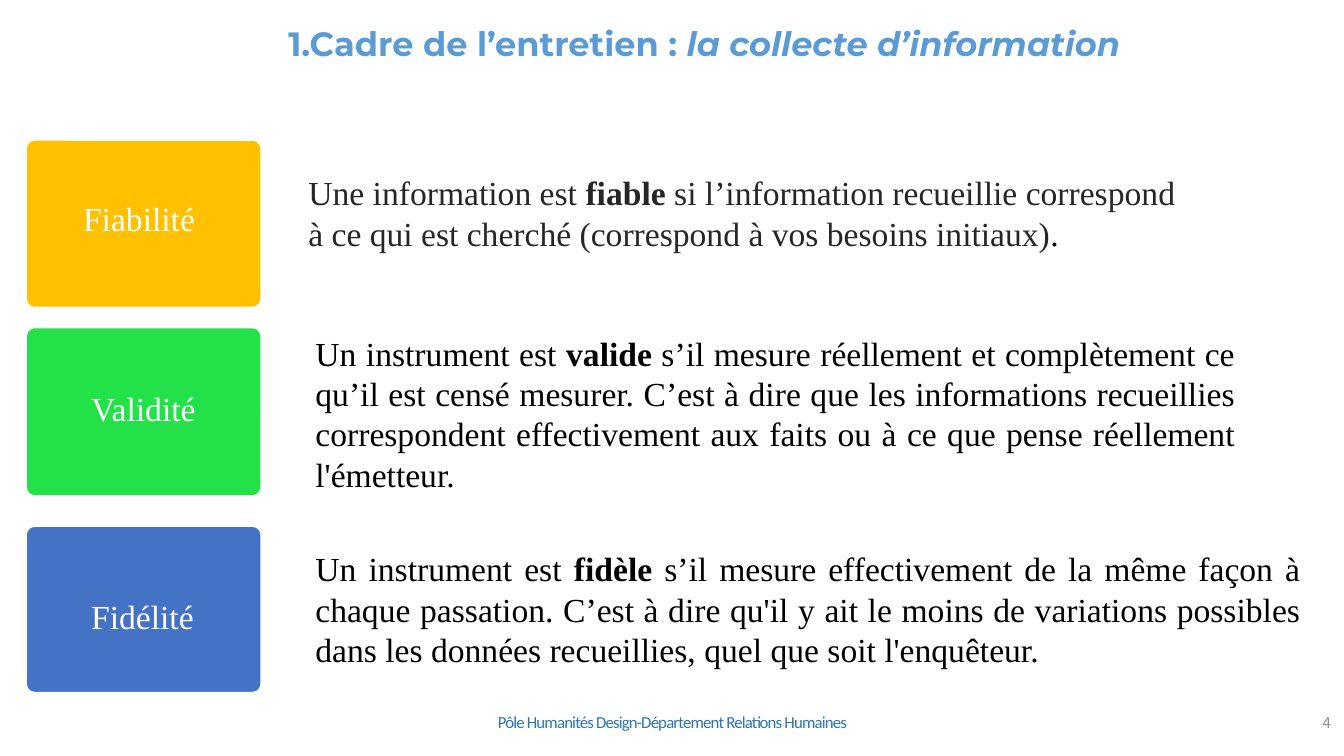
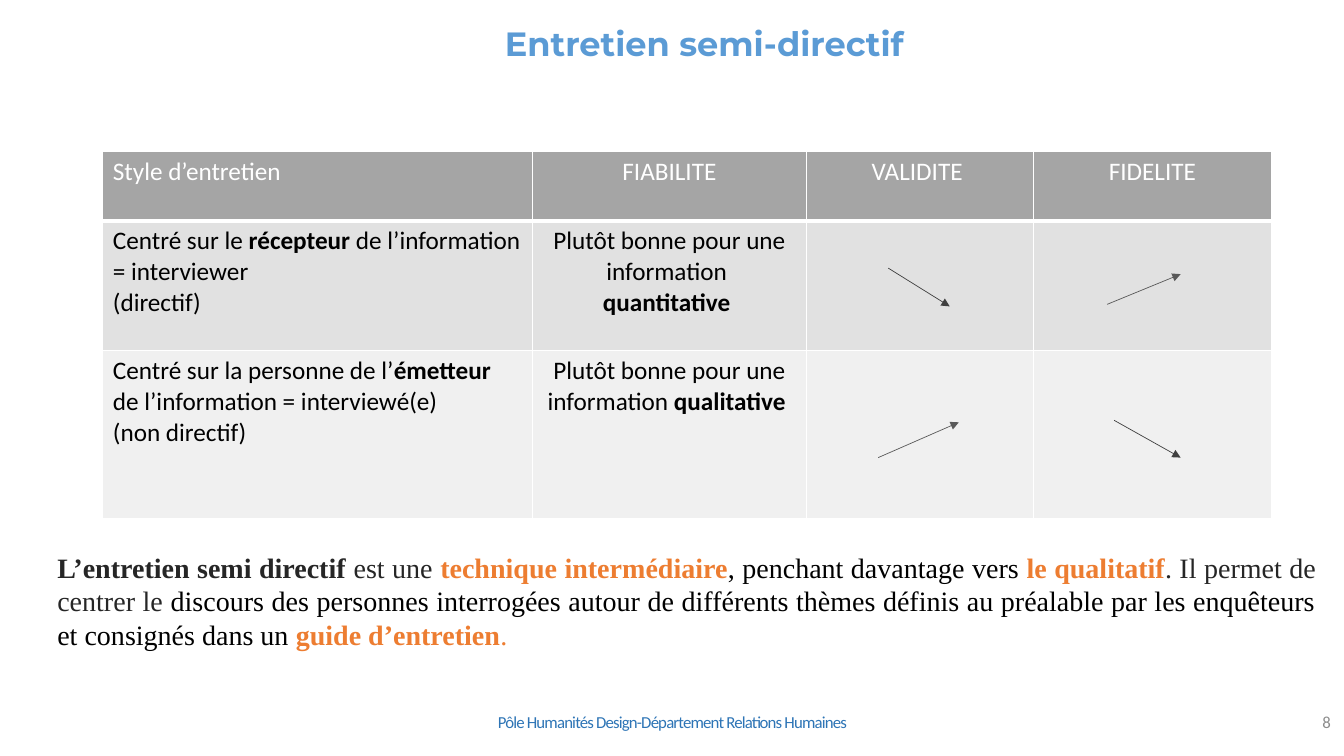
from lxml.etree import SubElement as Sub
from pptx import Presentation
from pptx.dml.color import RGBColor
from pptx.enum.shapes import MSO_CONNECTOR as Link, MSO_SHAPE as Form
from pptx.enum.text import MSO_ANCHOR as Anchor, MSO_AUTO_SIZE as Fit, PP_ALIGN as Align
from pptx.oxml.ns import qn
from pptx.util import Inches, Pt

# Shared look
WHITE, BLACK, INK, ORANGE = "FFFFFF", "000000", "262626", "ED7D31"
SERIF, SANS, HEAD = "Times New Roman", "Calibri", "Montserrat"
LEFT, MID, RIGHT, JUST = Align.LEFT, Align.CENTER, Align.RIGHT, Align.JUSTIFY
BOLD = {"bold": True}
KEY = {"bold": True, "color": ORANGE}
DARK = {"color": INK}
TITLE = {"name": HEAD, "size": 24, "color": "5B9BD5", "bold": True}
BODY = {"name": SERIF, "size": 24, "color": BLACK}
CELL = {"name": SANS, "size": 18, "color": BLACK}
FOOT = "Pôle Humanités Design-Département Relations Humaines"

# Content: a paragraph is a list of (text, format) runs
CARDS = [  # label, fill, top, height, left and top insets of the label
    ("Fiabilité", "FFC000", 1.39, 1.66, 0.54, 0.55),
    ("Validité", "23E148", 3.25, 1.67, 0.62, 0.57),
    ("Fidélité", "4472C4", 5.22, 1.65, 0.62, 0.67),
]
NOTES = [  # box, alignment, runs
    ((2.96, 1.66, 9.01, 0.91), LEFT, [
        ("Une information est ", DARK),
        ("fiable", {**DARK, **BOLD}),
        (" si l’information recueillie correspond à ce qui est cherché "
         "(correspond à vos besoins initiaux)", DARK),
        (".", {})]),
    ((3.03, 3.25, 9.32, 1.72), JUST, [
        ("Un instrument est ", {}),
        ("valide", BOLD),
        (" s’il mesure réellement et complètement ce qu’il est censé mesurer. "
         "C’est à dire que les informations recueillies correspondent "
         "effectivement aux faits ou à ce que pense réellement l'émetteur. ", {})]),
    ((3.03, 5.39, 9.97, 1.31), JUST, [
        ("Un instrument est ", {}),
        ("fidèle", BOLD),
        (" s’il mesure effectivement de la même façon à chaque passation. "
         "C’est à dire qu'il y ait le moins de variations possibles dans les "
         "données recueillies, quel que soit l'enquêteur.", {})]),
]
COLS, ROWS = [4.26, 2.72, 2.25, 2.36], [0.69, 1.29, 1.67]
FILLS = ["A5A5A5", "E1E1E1", "F0F0F0"]
GRID = [
    [[[(name, {"color": WHITE})]] for name in
     ("Style d’entretien", "FIABILITE", "VALIDITE ", "FIDELITE")],
    [[[("Centré sur le ", {}), ("récepteur", BOLD),
       (" de l’information = interviewer", {})], [("(directif)", {})]],
     [[("Plutôt bonne pour une information ", {})], [("quantitative ", BOLD)]],
     [], []],
    [[[("Centré sur la personne de l’", {}), ("émetteur", BOLD),
       (" de l’information = interviewé(e)", {})], [("(non directif)", {})]],
     [[("Plutôt bonne pour une information ", {}), ("qualitative ", BOLD)]],
     [], []],
]
ARROWS = [  # start, end, colour
    ((10.98, 3.02), (11.71, 2.72), "595959"),
    ((11.05, 4.17), (11.71, 4.54), "404040"),
    ((8.81, 2.66), (9.42, 3.04), "404040"),
    ((8.71, 4.54), (9.51, 4.19), "595959"),
]
SUM = [
    ("L’entretien semi directif ", {**DARK, **BOLD}),
    ("est une ", DARK),
    ("technique intermédiaire", KEY),
    (", penchant davantage vers ", {}),
    ("le qualitatif", KEY),
    (". Il permet de centrer le ", DARK),
    ("discours des personnes interrogées autour de différents thèmes définis "
     "au préalable par les enquêteurs et consignés dans un ", {}),
    ("guide d’entretien", KEY),
    (".", {"color": ORANGE}),
]


def rgb(code):
    return RGBColor.from_string(code)


def write(frame, paras, base, align=LEFT):
    for i, runs in enumerate(paras):
        para = frame.add_paragraph() if i else frame.paragraphs[0]
        para.alignment = align
        for text, extra in runs:
            run = para.add_run()
            run.text = text
            for key, val in {**base, **extra}.items():
                if key == "color":
                    run.font.color.rgb = rgb(val)
                else:
                    setattr(run.font, key, Pt(val) if key == "size" else val)


def add_text(slide, box, paras, base, align=LEFT):
    frame = slide.shapes.add_textbox(*map(Inches, box)).text_frame
    frame.word_wrap = True
    write(frame, paras, base, align)
    return frame


def add_foot(slide, box, text, color, gap, align):
    frame = add_text(slide, box, [[(text, {})]],
                     {"name": SANS, "size": 12, "color": color}, align)
    frame.vertical_anchor = Anchor.MIDDLE
    for side in ("left", "top", "right", "bottom"):
        setattr(frame, "margin_" + side, Inches(0.01 if side == "top" else 0))
    frame.paragraphs[0].runs[0].font._element.set("spc", str(gap))


def add_page(deck, runs, number):
    slide = deck.slides.add_slide(deck.slide_layouts[5])
    title = slide.shapes.title
    box = map(Inches, (1.6, 0.18, 10.77, 0.5))
    for key, val in zip(("left", "top", "width", "height"), box):
        setattr(title, key, val)
    frame = title.text_frame
    frame.auto_size, frame.vertical_anchor = Fit.NONE, Anchor.TOP
    write(frame, [runs], TITLE, MID)
    add_foot(slide, (4.42, 7.05, 4.5, 0.21), FOOT, "2E75B6", -60, MID)
    add_foot(slide, (11.08, 7.05, 2.12, 0.21), number, "8C8C8C", -120, RIGHT)
    return slide


def add_card(slide, label, fill, top, high, inset, drop):
    card = slide.shapes.add_shape(
        Form.ROUNDED_RECTANGLE, *map(Inches, (0.26, top, 2.33, high)))
    card.adjustments[0] = 0.05
    card.shadow.inherit = False
    card.fill.solid()
    card.fill.fore_color.rgb = rgb(fill)
    card.line.color.rgb = rgb(WHITE)
    card.line.width = Pt(1)
    frame = card.text_frame
    frame.vertical_anchor = Anchor.TOP
    frame.margin_left, frame.margin_top = Inches(inset), Inches(drop)
    write(frame, [[(label, {})]], {**BODY, "color": WHITE})


def add_edges(cell, row):
    wide = {"T": 3 if row == 1 else 1, "B": 3 if row == 0 else 1}
    props = cell._tc.get_or_add_tcPr()
    for side in "LRTB":
        line = Sub(props, qn("a:ln" + side), w=str(Pt(wide.get(side, 1))))
        Sub(Sub(line, qn("a:solidFill")), qn("a:srgbClr"), val=WHITE)


def add_grid(slide):
    box = map(Inches, (1.02, 1.5, sum(COLS), sum(ROWS)))
    table = slide.shapes.add_table(len(ROWS), len(COLS), *box).table
    table.first_row = table.horz_banding = False
    for col, wide in zip(table.columns, COLS):
        col.width = Inches(wide)
    for r, (row, high) in enumerate(zip(table.rows, ROWS)):
        row.height = Inches(high)
        for c, paras in enumerate(GRID[r]):
            cell = table.cell(r, c)
            add_edges(cell, r)
            cell.fill.solid()
            cell.fill.fore_color.rgb = rgb(FILLS[r])
            write(cell.text_frame, paras, CELL, MID if c else LEFT)


def add_arrow(slide, start, end, color):
    arrow = slide.shapes.add_connector(
        Link.STRAIGHT, *map(Inches, (*start, *end)))
    arrow.line.color.rgb = rgb(color)
    arrow.line.width = Pt(0.5)
    Sub(arrow.line._get_or_add_ln(), qn("a:tailEnd"), type="triangle")
    Sub(arrow._element.spPr, qn("a:effectLst"))


def main():
    deck = Presentation()
    deck.slide_width, deck.slide_height = Inches(13.33), Inches(7.5)

    # Qualities of the information
    slide = add_page(deck, [("1.Cadre de l’entretien : ", {}),
                            ("la collecte d’information", {"italic": True})], "4")
    for card in CARDS:
        add_card(slide, *card)
    for box, align, runs in NOTES:
        add_text(slide, box, [runs], BODY, align)

    # Semi-directive interview
    slide = add_page(deck, [("Entretien semi-directif", {})], "8")
    add_grid(slide)
    add_text(slide, (0.47, 5.41, 12.68, 1.11), [SUM], {**BODY, "size": 20}, JUST)
    for arrow in ARROWS:
        add_arrow(slide, *arrow)

    deck.save("out.pptx")


if __name__ == "__main__":
    main()
